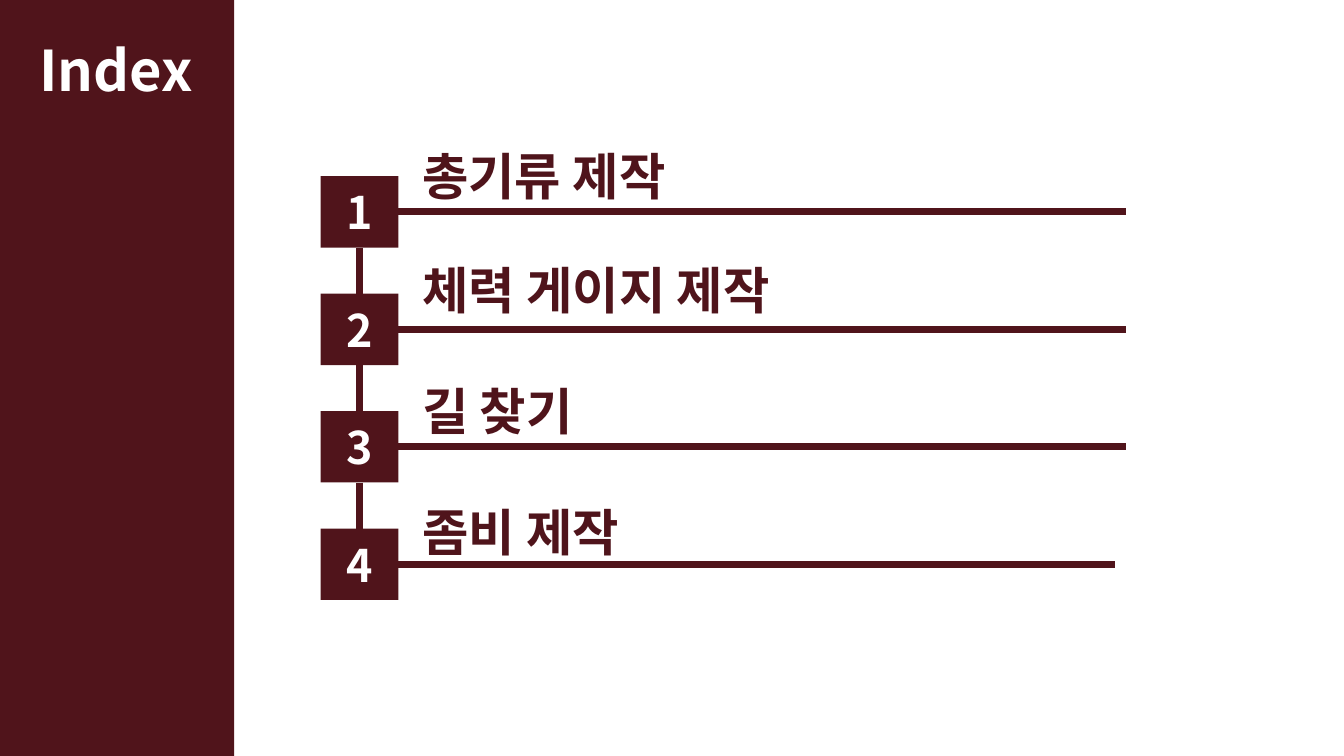
from dataclasses import dataclass

from lxml import etree
from pptx import Presentation
from pptx.dml.color import RGBColor
from pptx.enum.shapes import MSO_CONNECTOR, MSO_SHAPE
from pptx.enum.text import MSO_ANCHOR, MSO_AUTO_SIZE, PP_ALIGN
from pptx.oxml.ns import qn
from pptx.shapes.autoshape import Shape
from pptx.shapes.connector import Connector
from pptx.slide import Slide
from pptx.util import Cm, Pt

RECTANGLE = MSO_SHAPE.RECTANGLE
STRAIGHT = MSO_CONNECTOR.STRAIGHT
MIDDLE = MSO_ANCHOR.MIDDLE
GROW = MSO_AUTO_SIZE.SHAPE_TO_FIT_TEXT
LEFT, CENTER = PP_ALIGN.LEFT, PP_ALIGN.CENTER
TOP_SIDE, BOTTOM_SIDE, RIGHT_SIDE = 0, 2, 3

FONT = "Noto Sans CJK KR"
MAROON, TITLE_MAROON, WHITE = "50141B", "4F141B", "FFFFFF"

# Badge grid, in centimetres
BADGE_LEFT, BADGE_TOP, BADGE_STEP = 8.08, 4.44, 2.96
BADGE_WIDTH, BADGE_HEIGHT = 1.96, 1.8
TITLE_LEFT, TITLE_HEIGHT = 10.39, 1.8


@dataclass
class Chapter:
    title: str
    title_top: float
    title_width: float
    rule_end: float


CHAPTERS = [
    Chapter("총기류 제작", 3.53, 19.5, 28.37),
    Chapter("체력 게이지 제작", 6.4, 19.5, 28.37),
    Chapter("길 찾기", 9.45, 22.4, 28.37),
    Chapter("좀비 제작", 12.5, 22.4, 28.09),
]


def color(value: str) -> RGBColor:
    return RGBColor.from_string(value)


def write(shape: Shape, text: str, size: int, text_color: str,
          align: PP_ALIGN = LEFT) -> None:
    para = shape.text_frame.paragraphs[0]
    para.text = text
    para.alignment = align
    font = para.font
    font.name, font.size, font.bold = FONT, Pt(size), True
    font.color.rgb = color(text_color)
    # Hangul takes the East Asian typeface
    properties = para._p.pPr.find(qn("a:defRPr"))
    etree.SubElement(properties, qn("a:ea"), typeface=FONT)


def add_block(page: Slide, left: float, top: float, width: float,
              height: float) -> Shape:
    block = page.shapes.add_shape(RECTANGLE, Cm(left), Cm(top), Cm(width), Cm(height))
    block.shadow.inherit = False
    block.fill.solid()
    block.fill.fore_color.rgb = color(MAROON)
    block.line.fill.background()
    return block


def add_label(page: Slide, text: str, left: float, top: float, width: float,
              height: float, size: int, text_color: str) -> None:
    box = page.shapes.add_textbox(Cm(left), Cm(top), Cm(width), Cm(height))
    box.text_frame.word_wrap = True
    box.text_frame.auto_size = GROW
    write(box, text, size, text_color)


def add_line(page: Slide, x1: float, y1: float, x2: float, y2: float) -> Connector:
    line = page.shapes.add_connector(STRAIGHT, Cm(x1), Cm(y1), Cm(x2), Cm(y2))
    line.line.color.rgb = color(MAROON)
    line.line.width = Pt(5)
    etree.SubElement(line._element.spPr, qn("a:effectLst"))
    return line


def add_badge(page: Slide, number: int, top: float) -> Shape:
    badge = add_block(page, BADGE_LEFT, top, BADGE_WIDTH, BADGE_HEIGHT)
    badge.text_frame.vertical_anchor = MIDDLE
    write(badge, str(number), 32, WHITE, CENTER)
    return badge


def main() -> None:
    deck = Presentation()
    deck.slide_width, deck.slide_height = Cm(33.87), Cm(19.05)
    page = deck.slides.add_slide(deck.slide_layouts[6])

    # Side band with heading
    add_block(page, 0, 0, 5.9, 19.05)
    add_label(page, "Index", 0.74, 0.76, 4.67, 1.96, 40, WHITE)

    # Numbered chapters, each with a rule under its title
    badges = []
    for index, chapter in enumerate(CHAPTERS):
        top = BADGE_TOP + index * BADGE_STEP
        badge = add_badge(page, index + 1, top)
        badges.append(badge)
        middle = top + BADGE_HEIGHT / 2
        rule = add_line(page, BADGE_LEFT + BADGE_WIDTH, middle, chapter.rule_end, middle)
        rule.begin_connect(badge, RIGHT_SIDE)
        add_label(page, chapter.title, TITLE_LEFT, chapter.title_top,
                  chapter.title_width, TITLE_HEIGHT, 36, TITLE_MAROON)

    # Links between neighbouring badges
    for upper, lower in zip(badges, badges[1:]):
        link = add_line(page, 0, 0, 0, 0)
        link.begin_connect(upper, BOTTOM_SIDE)
        link.end_connect(lower, TOP_SIDE)

    deck.save("out.pptx")


if __name__ == "__main__":
    main()
